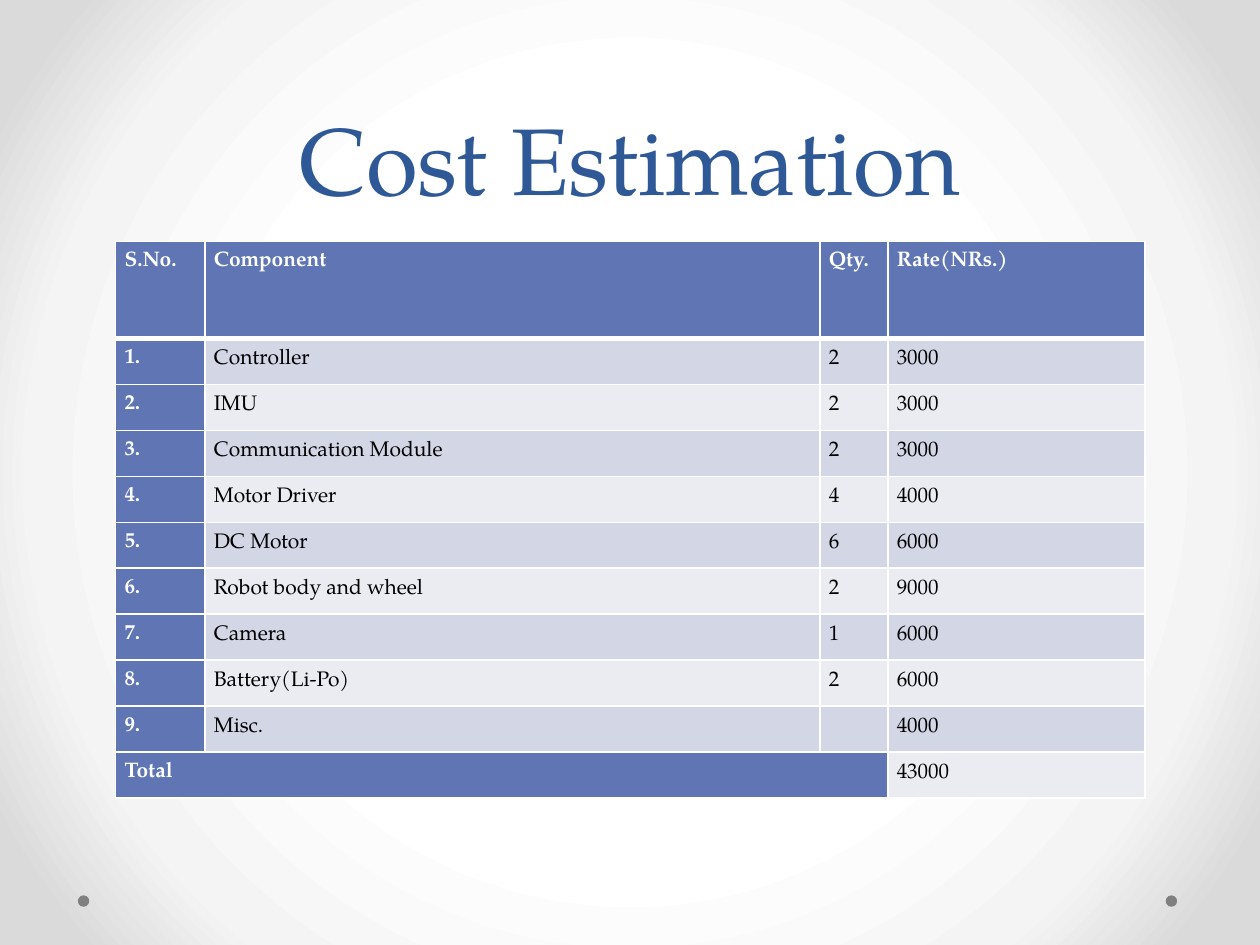
from lxml import etree
from pptx import Presentation
from pptx import util as u
from pptx.dml.color import RGBColor
from pptx.enum import shapes, text
from pptx.oxml import ns

FONT = "TeX Gyre Pagella"
WHITE, BLACK, BLUE, GREY = "FFFFFF", "000000", "6076B4", "808080"
BANDS = ["D2D6E5", "EAECF2"]
HEADINGS = ["S.No.", "Component", "Qty.", "Rate(NRs.)"]
COSTS = [
    ("Controller", "2", "3000"),
    ("IMU", "2", "3000"),
    ("Communication Module", "2", "3000"),
    ("Motor Driver", "4", "4000"),
    ("DC Motor", "6", "6000"),
    ("Robot body and wheel", "2", "9000"),
    ("Camera", "1", "6000"),
    ("Battery(Li-Po)", "2", "6000"),
    ("Misc.", "", "4000"),
]
TOTAL = "43000"
COLUMN_SHARES = [0.71, 4.88, 0.54, 2.04]
HEADER_HEIGHT = 1.95


def colour(value):
    return RGBColor.from_string(value)


def add_xml(parent, tag, **attributes):
    return etree.SubElement(parent, ns.qn(tag), attributes)


def write(frame, words, size=12, hue=BLACK, bold=False, align=None, spacing=1.5):
    para = frame.paragraphs[0]
    para.alignment = align
    para.line_spacing = spacing
    span = para.add_run()
    span.text = words
    span.font.name = FONT
    span.font.size = u.Pt(size)
    span.font.bold = bold
    span.font.color.rgb = colour(hue)


def paint_background(page):
    fill = page.background.fill
    fill.gradient()
    gradient = page.background._cSld.bg.bgPr.find(ns.qn("a:gradFill"))
    for child in list(gradient):
        gradient.remove(child)
    stops = add_xml(gradient, "a:gsLst")
    for position, value in [(50, WHITE), (76, "F4F4F4"), (92, "DADADA")]:
        stop = add_xml(stops, "a:gs", pos=str(position * 1000))
        add_xml(stop, "a:srgbClr", val=value)
    centre = add_xml(gradient, "a:path", path="circle")
    add_xml(centre, "a:fillToRect", **dict.fromkeys("ltrb", "50000"))


def add_dots(page, left, top, width, size):
    for x in (left, left + width - size):
        dot = page.shapes.add_shape(
            shapes.MSO_SHAPE.OVAL, u.Cm(x), u.Cm(top), u.Cm(size), u.Cm(size))
        dot.shadow.inherit = False
        dot.fill.solid()
        dot.fill.fore_color.rgb = colour(GREY)
        dot.line.fill.background()


def add_title(page, left, top, width, height):
    box = page.shapes.add_textbox(u.Cm(left), u.Cm(top), u.Cm(width), u.Cm(height))
    frame = box.text_frame
    frame.word_wrap = True
    frame.vertical_anchor = text.MSO_ANCHOR.BOTTOM
    write(frame, "Cost Estimation", size=54, hue="2F5897",
          align=text.PP_ALIGN.CENTER, spacing=u.Pt(58))


def format_cell(cell, words, fill, top=1, bottom=1, **style):
    cell.margin_left = cell.margin_right = u.Cm(0.18)
    cell.margin_top = cell.margin_bottom = 0
    properties = cell._tc.get_or_add_tcPr()
    for side, width in zip("LRTB", (1, 1, top, bottom)):
        line = add_xml(properties, f"a:ln{side}", w=str(u.Pt(width)))
        add_xml(add_xml(line, "a:solidFill"), "a:srgbClr", val=WHITE)
    cell.fill.solid()
    cell.fill.fore_color.rgb = colour(fill)
    if words:
        write(cell.text_frame, words, **style)


def add_cost_table(page, left, top, width, height):
    rows = [HEADINGS]
    rows += [(f"{number}.", *cost) for number, cost in enumerate(COSTS, 1)]
    rows.append(("Total", "", "", TOTAL))
    table = page.shapes.add_table(
        len(rows), len(HEADINGS), u.Cm(left), u.Cm(top), u.Cm(width), u.Cm(height)).table
    table.first_row = table.horz_banding = False
    for column, share in zip(table.columns, COLUMN_SHARES):
        column.width = u.Cm(width * share / sum(COLUMN_SHARES))
    row_height = (height - HEADER_HEIGHT) / (len(rows) - 1)
    last = len(rows) - 1
    for r, row in enumerate(rows):
        table.rows[r].height = u.Cm(row_height if r else HEADER_HEIGHT)
        for c, words in enumerate(row):
            heading = r == 0 or c == 0 or (r == last and c < 3)
            format_cell(table.cell(r, c), words,
                        fill=BLUE if heading else BANDS[(r - 1) % 2],
                        top=3 if r == 1 else 1, bottom=3 if r == 0 else 1,
                        hue=WHITE if heading else BLACK, bold=heading)
    table.cell(last, 0).merge(table.cell(last, 2))


def main():
    deck = Presentation()
    deck.slide_width, deck.slide_height = u.Cm(25.4), u.Cm(19.05)
    page = deck.slides.add_slide(deck.slide_layouts[6])
    paint_background(page)
    add_dots(page, 1.57, 18.05, 22.16, 0.23)
    add_title(page, 1.27, 0, 22.86, 4.45)
    add_cost_table(page, 2.33, 4.87, 20.75, 11.22)
    deck.save("out.pptx")


if __name__ == "__main__":
    main()
